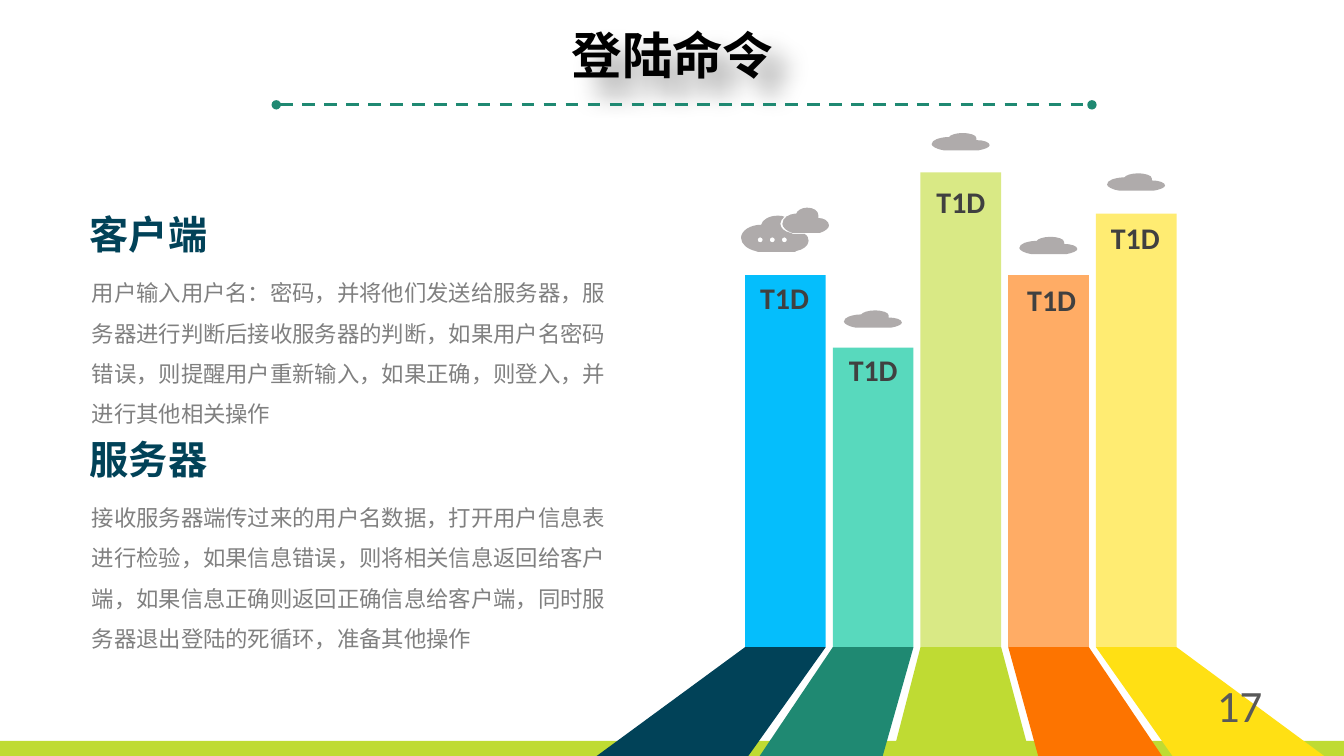
from dataclasses import dataclass

import pptx
import pptx.dml.color
import pptx.enum.dml
import pptx.enum.shapes
import pptx.enum.text
import pptx.oxml
import pptx.oxml.ns
import pptx.util

PX = 9144
ALIGN = pptx.enum.text.PP_ALIGN
ANCHOR = pptx.enum.text.MSO_ANCHOR
SHAPE = pptx.enum.shapes.MSO_SHAPE


@dataclass(frozen=True)
class Theme:
    chinese: str = "Noto Sans CJK SC"
    latin: str = "Calibri"
    title: str = "000000"
    heading: str = "014258"
    body: str = "808080"
    label: str = "404040"
    number: str = "595959"
    cloud: str = "AFABAB"
    rule: str = "1F8972"
    strip: str = "BFDB33"
    title_size: float = 36
    heading_size: float = 28
    body_size: float = 16
    label_size: float = 21.4
    number_size: float = 32


THEME = Theme()

SECTIONS = [
    ("客户端", "用户输入用户名：密码，并将他们发送给服务器，服务器进行判断后接收服务器的判断，"
            "如果用户名密码错误，则提醒用户重新输入，如果正确，则登入，并进行其他相关操作"),
    ("服务器", "接收服务器端传过来的用户名数据，打开用户信息表进行检验，如果信息错误，"
            "则将相关信息返回给客户端，如果信息正确则返回正确信息给客户端，"
            "同时服务器退出登陆的死循环，准备其他操作"),
]

# cloud top, bar top, label shift and top, foot left, right and bottom, bar and foot colours
COLUMNS = [
    (206, 273, (0, 283), (555, 723, 777), "05BEFC", "014258"),
    (308, 345, (1, 354), (738, 869, 773), "58D9BD", "1F8972"),
    (132, 171, (1, 187), (878, 1029, 777), "D9E985", "BFDB33"),
    (235, 273, (4, 285), (1036, 1168, 773), "FFAC65", "FD7400"),
    (172, 212, (0, 223), (1182, 1350, 777), "FFEC72", "FFE014"),
]

# Outlines: a pair is a point on a straight edge, six numbers are a Bézier segment.
SMALL_CLOUD = [
    (44, 7), (44, 6, 44, 6, 44, 5), (44, 2, 38, 0, 30, 0), (24, 0, 18, 2, 17, 4),
    (17, 4, 17, 4, 16, 4), (12, 4, 8, 5, 5, 6), (2, 7, 0, 9, 0, 11), (0, 13, 5, 16, 12, 17),
    (12, 17, 14, 17, 14, 17), (28, 17, 28, 17, 28, 17), (44, 17, 44, 17, 44, 17),
    (45, 17, 46, 17, 46, 17), (52, 16, 57, 14, 57, 12), (57, 9, 51, 7, 44, 7),
]
LARGE_CLOUD = [
    (63, 18), (51, 18, 51, 18, 51, 18), (51, 18, 50, 17, 49, 17), (43, 16, 39, 12, 39, 8),
    (39, 5, 41, 3, 43, 1), (41, 0, 39, 0, 36, 0), (28, 0, 21, 4, 20, 9),
    (20, 9, 20, 9, 20, 9), (9, 9, 0, 15, 0, 22), (0, 28, 6, 33, 14, 35),
    (15, 35, 16, 36, 17, 36), (53, 36, 53, 36, 53, 36), (53, 36, 54, 36, 55, 35),
    (61, 34, 67, 30, 67, 25), (67, 22, 66, 20, 63, 18),
]


def color(value):
    return pptx.dml.color.RGBColor.from_string(value)


def drop(x, y):
    """Four curves around a small round hole."""
    return [(x, y + 2.5), (x - 1.4, y + 2.5, x - 2.5, y + 1.4, x - 2.5, y),
            (x - 2.5, y - 1.4, x - 1.4, y - 2.5, x, y - 2.5),
            (x + 1.4, y - 2.5, x + 2.5, y - 1.4, x + 2.5, y),
            (x + 2.5, y + 1.4, x + 1.4, y + 2.5, x, y + 2.5)]


def paint(shape, fill):
    shape.shadow.inherit = False
    shape.fill.solid()
    shape.fill.fore_color.rgb = color(fill)
    shape.line.fill.background()


def add_bar(slide, left, top, width, height, fill):
    paint(slide.shapes.add_shape(SHAPE.RECTANGLE, left * PX, top * PX, width * PX, height * PX), fill)


def bend(shape, segments):
    """Join the edges that stand for each six-number segment into one curve."""
    edges = iter(list(shape._element.iter(pptx.oxml.ns.qn("a:lnTo"))))
    for segment in segments:
        first = next(edges)
        if len(segment) == 6:
            curve = pptx.oxml.parse_xml(f"<a:cubicBezTo {pptx.oxml.ns.nsdecls('a')}/>")
            first.addprevious(curve)
            for edge in (first, next(edges), next(edges)):
                curve.append(edge[0])
                edge.getparent().remove(edge)


def add_outline(slide, contours, left, top, scale, fill):
    """Draw contours in one shape; inner contours become holes."""
    builder = None
    for contour in contours:
        points = [((left + segment[i] * scale[0]) * PX, (top + segment[i + 1] * scale[1]) * PX)
                  for segment in contour for i in range(0, len(segment), 2)]
        if builder is None:
            builder = slide.shapes.build_freeform(*points[0], scale=1.0)
        else:
            builder.move_to(*points[0])
        builder.add_line_segments(points[1:], close=True)
    shape = builder.convert_to_shape()
    bend(shape, [segment for contour in contours for segment in contour[1:]])
    paint(shape, fill)


def write(shape, box, text, font, size, fill, bold=False, align=ALIGN.LEFT, anchor=ANCHOR.TOP, spacing=1.0):
    shape.left, shape.top, shape.width, shape.height = (length * PX for length in box)
    frame = shape.text_frame
    frame.text = text
    frame.word_wrap = True
    frame.auto_size = pptx.enum.text.MSO_AUTO_SIZE.NONE
    frame.vertical_anchor = anchor
    paragraph = frame.paragraphs[0]
    paragraph.alignment = align
    paragraph.line_spacing = spacing
    paragraph.space_before = pptx.util.Pt(0)
    properties = paragraph._p.get_or_add_pPr()
    properties.set("marL", "0")
    properties.set("indent", "0")
    properties.append(pptx.oxml.parse_xml(f"<a:buNone {pptx.oxml.ns.nsdecls('a')}/>"))
    run = paragraph.runs[0]
    run.font.name = font
    run.font.size = pptx.util.Pt(size)
    run.font.bold = bold
    run.font.color.rgb = color(fill)
    east_asian = f'<a:ea {pptx.oxml.ns.nsdecls("a")} typeface="{font}"/>'
    run._r.rPr.find(pptx.oxml.ns.qn("a:latin")).addnext(pptx.oxml.parse_xml(east_asian))


def add_text(slide, box, *content, **style):
    write(slide.shapes.add_textbox(0, 0, 0, 0), box, *content, **style)


def add_header(slide, left, top, width):
    title = slide.shapes.title
    write(title, (left + 151, top, 484, 71), "登陆命令", THEME.chinese, THEME.title_size,
          THEME.title, bold=True, align=ALIGN.CENTER)
    title._element.spPr.append(pptx.oxml.parse_xml(
        f'<a:effectLst {pptx.oxml.ns.nsdecls("a")}><a:outerShdw blurRad="{24 * PX}" dist="{25 * PX}" '
        'dir="2700000" algn="tl" rotWithShape="0"><a:srgbClr val="000000"><a:alpha val="35000"/>'
        '</a:srgbClr></a:outerShdw></a:effectLst>'))
    y = (top + 85) * PX
    rule = slide.shapes.add_connector(pptx.enum.shapes.MSO_CONNECTOR.STRAIGHT, left * PX, y, (left + width) * PX, y)
    rule.line.color.rgb = color(THEME.rule)
    rule.line.width = pptx.util.Pt(2.25)
    rule.line.dash_style = pptx.enum.dml.MSO_LINE.DASH
    for end in ("headEnd", "tailEnd"):
        rule.line._get_or_add_ln().append(
            pptx.oxml.parse_xml(f'<a:{end} {pptx.oxml.ns.nsdecls("a")} type="oval"/>'))
    rule._element.spPr.append(pptx.oxml.parse_xml(f"<a:effectLst {pptx.oxml.ns.nsdecls('a')}/>"))


def add_sections(slide, left, top, pitch):
    placeholders = {shape.placeholder_format.idx: shape for shape in slide.placeholders}
    for index, (heading, body) in enumerate(SECTIONS):
        y = top + index * pitch
        write(placeholders[2 * index + 1], (left, y, 353, 57), heading,
              THEME.chinese, THEME.heading_size, THEME.heading, bold=True)
        write(placeholders[2 * index + 2], (left + 2, y + 55, 539, 167), body,
              THEME.chinese, THEME.body_size, THEME.body, spacing=1.5)


def add_columns(slide, left, base, width, pitch):
    for index, (cloud_top, top, label, foot, fill, foot_fill) in enumerate(COLUMNS):
        x = left + index * pitch
        add_bar(slide, x, top, width, base - top, fill)
        foot_left, foot_right, bottom = foot
        corners = [(x, base), (x + width, base), (foot_right, bottom), (foot_left, bottom)]
        add_outline(slide, [corners], 0, 0, (1, 1), foot_fill)
        add_text(slide, (x - 20 + label[0], label[1], 118, 25), "T1D", THEME.latin,
                 THEME.label_size, THEME.label, bold=True, align=ALIGN.CENTER, anchor=ANCHOR.MIDDLE)
        if index == 0:
            add_outline(slide, [SMALL_CLOUD], x + 37, cloud_top, (0.81, 1.47), THEME.cloud)
            storm = [LARGE_CLOUD] + [drop(19 + 12 * hole, 24) for hole in range(3)]
            add_outline(slide, storm, x - 4, cloud_top + 8, (1, 1), THEME.cloud)
        else:
            add_outline(slide, [SMALL_CLOUD], x + 11, cloud_top, (1.01, 1.01), THEME.cloud)


def main():
    presentation = pptx.Presentation()
    presentation.slide_width, presentation.slide_height = 1333 * PX, 750 * PX
    slide = presentation.slides.add_slide(presentation.slide_layouts.get_by_name("Comparison"))
    add_bar(slide, 0, 735, 1333, 15, THEME.strip)
    add_header(slide, 274, 19, 809)
    add_sections(slide, 79, 204, 223)
    add_columns(slide, 739, 642, 80, 87)
    add_text(slide, (962, 679, 300, 40), "17", THEME.latin, THEME.number_size, THEME.number,
             align=ALIGN.RIGHT, anchor=ANCHOR.MIDDLE)
    presentation.save("out.pptx")


if __name__ == "__main__":
    main()
